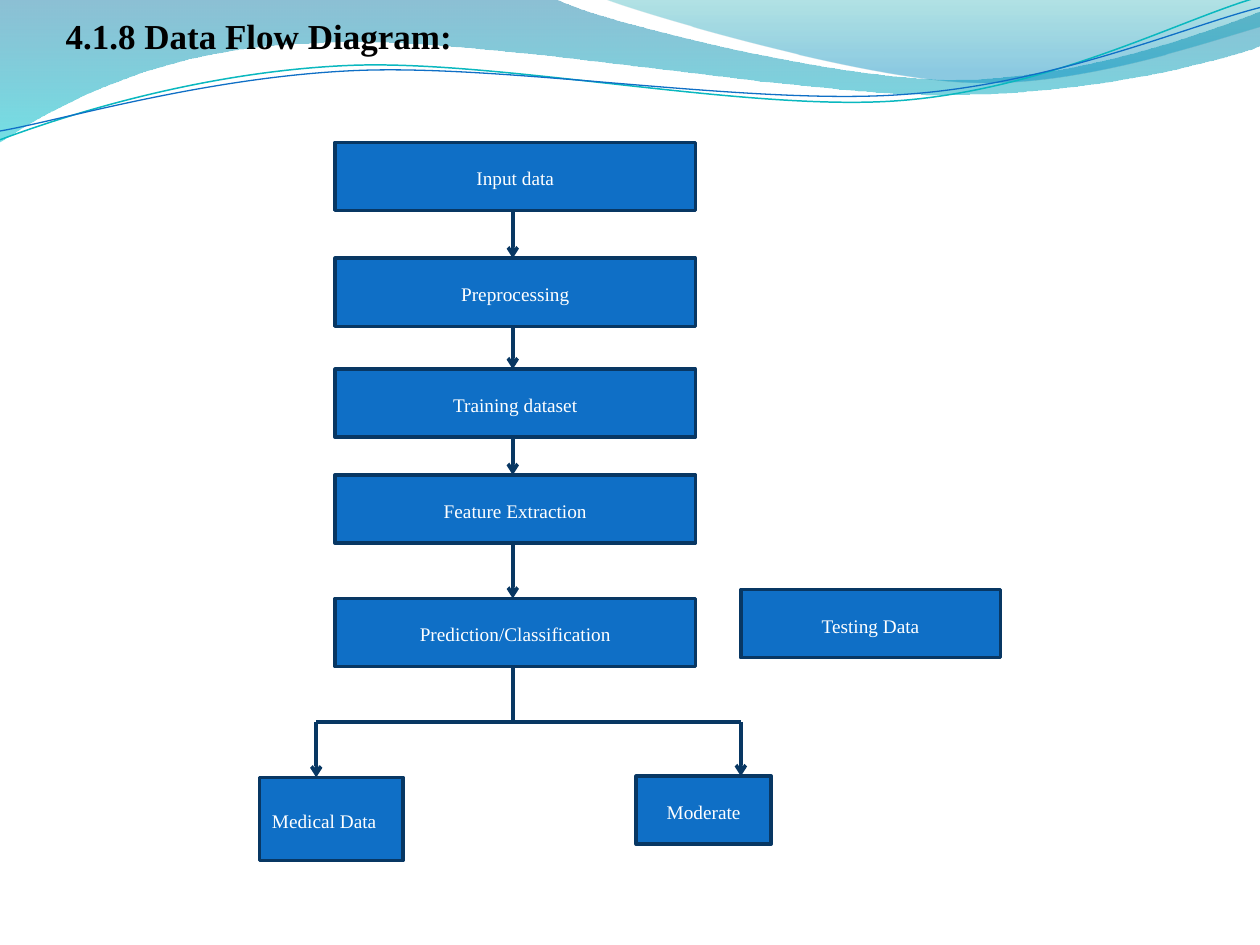
"""Build the data flow diagram slide with its wave header."""
from itertools import pairwise

from lxml.etree import SubElement
from pptx import Presentation
from pptx.dml.color import RGBColor
from pptx.enum.shapes import MSO_CONNECTOR, MSO_SHAPE
from pptx.enum.text import MSO_ANCHOR, MSO_AUTO_SIZE, PP_ALIGN
from pptx.oxml.ns import qn
from pptx.util import Inches, Pt

BLUE = RGBColor(0x0F, 0x6F, 0xC6)
NAVY = RGBColor(0x08, 0x37, 0x63)
TEAL = RGBColor(0x0A, 0xB8, 0xBF)
WHITE = RGBColor(0xFF, 0xFF, 0xFF)
BLACK = RGBColor(0, 0, 0)
FONT = "Times New Roman"

TITLE = "4.1.8 Data Flow Diagram:"
STEP_LEFT, STEP_WIDTH, BOX_HEIGHT = 2.66, 2.86, 0.54
STEPS = [
    ("Input data", 1.13),
    ("Preprocessing", 2.05),
    ("Training dataset", 2.93),
    ("Feature Extraction", 3.77),
    ("Prediction/Classification", 4.75),
]
SIDE_BOXES = [
    ("Testing Data", 5.88, 4.68, 2.06, BOX_HEIGHT, PP_ALIGN.CENTER),
    ("Medical Data", 2.06, 6.17, 1.14, 0.66, PP_ALIGN.LEFT),
    ("Moderate", 5.05, 6.16, 1.07, BOX_HEIGHT, PP_ALIGN.CENTER),
]
FLOW_X, FORK_Y = 4.07, 5.73
FORK_ENDS = [(2.51, 6.17), (5.88, 6.16)]

# Each segment is one point for a line or three points for a Bezier curve.
BANDS = [
    {
        "start": (0, 0),
        "segments": [
            [(4.4, -0.01)],
            [(4.76, 0.17), (6.64, 0.63), (7.58, 0.63)],
            [(8.53, 0.63), (9.58, 0.26), (10, 0.09)],
            [(10.01, 0.36)],
            [(9.83, 0.44), (8.7, 0.76), (7.46, 0.75)],
            [(6.22, 0.75), (3.82, 0.28), (2.57, 0.34)],
            [(1.29, 0.36), (0.46, 0.83), (-0.01, 1.13)],
        ],
        "stops": [(0, RGBColor(0, 0x74, 0xA1), 45), (1, RGBColor(0, 0xC6, 0xCF), 55)],
    },
    {
        "start": (4.79, -0.01),
        "segments": [
            [(5.09, 0.11), (6.82, 0.62), (7.69, 0.65)],
            [(8.56, 0.69), (9.61, 0.32), (10, 0.21)],
            [(10, 0)],
        ],
        "stops": [(0, RGBColor(0, 0xA1, 0xA9), 30), (0.8, RGBColor(0, 0x8B, 0xBF), 45)],
    },
]
WAVES = [
    {
        "start": (0, 1.11),
        "segments": [
            [(0.48, 0.93), (1.58, 0.57), (2.77, 0.52)],
            [(3.95, 0.47), (5.93, 0.89), (7.13, 0.8)],
            [(8.33, 0.71), (9.38, 0.15), (9.98, -0.02)],
        ],
        "line": (TEAL, 0.85),
    },
    {
        "start": (0, 1.04),
        "segments": [
            [(0.47, 0.96), (1.64, 0.61), (2.83, 0.56)],
            [(4.03, 0.51), (5.97, 0.84), (7.17, 0.75)],
            [(8.36, 0.67), (9.41, 0.21), (10, 0.06)],
        ],
        "line": (BLUE, 0.75),
    },
]


def add_outline(slide, start, segments, close):
    """Draw a freeform whose three-point segments become Bezier curves."""
    builder = slide.shapes.build_freeform(*map(Inches, start))
    points = [(Inches(x), Inches(y)) for segment in segments for x, y in segment]
    builder.add_line_segments(points, close=close)
    shape = builder.convert_to_shape()
    shape.shadow.inherit = False
    lines = iter(list(shape._element.iter(qn("a:lnTo"))))
    for segment in segments:
        first, *others = [next(lines) for _ in segment]
        if others:
            first.tag = qn("a:cubicBezTo")
            for other in others:
                first.append(other[0])
                other.getparent().remove(other)
    return shape


def add_band(slide, start, segments, stops):
    """Draw a translucent gradient band."""
    shape = add_outline(slide, start, segments, True)
    shape.line.fill.background()
    shape.fill.gradient()
    shape.fill.gradient_angle = 270
    for stop, (position, color, opacity) in zip(shape.fill.gradient_stops, stops):
        stop.position = position
        stop.color.rgb = color
    for element, (_, _, opacity) in zip(shape._element.iter(qn("a:gs")), stops):
        SubElement(element[0], qn("a:alpha"), val=str(opacity * 1000))


def add_wave(slide, start, segments, line):
    """Draw a thin open curve."""
    shape = add_outline(slide, start, segments, False)
    shape.fill.background()
    shape.line.color.rgb = line[0]
    shape.line.width = Pt(line[1])


def write(frame, text, size, color, align, spacing, bold=False):
    """Put one formatted paragraph in a text frame."""
    frame.text = text
    frame.word_wrap = True
    frame.vertical_anchor = MSO_ANCHOR.MIDDLE
    para = frame.paragraphs[0]
    para.alignment, para.line_spacing = align, spacing
    font = para.runs[0].font
    font.name, font.size, font.bold = FONT, Pt(size), bold
    font.color.rgb = color


def add_box(slide, text, left, top, width, height, align=PP_ALIGN.CENTER):
    """Draw a labelled box."""
    box = slide.shapes.add_shape(MSO_SHAPE.RECTANGLE, *map(Inches, (left, top, width, height)))
    box.shadow.inherit = False
    box.fill.solid()
    box.fill.fore_color.rgb = BLUE
    box.line.color.rgb = NAVY
    box.line.width = Pt(2)
    write(box.text_frame, text, 11, WHITE, align, 1.15)
    box.text_frame.paragraphs[0].space_after = Pt(10)


def add_link(slide, x1, y1, x2, y2, arrow=True):
    """Draw a straight line, with an arrowhead unless told otherwise."""
    link = slide.shapes.add_connector(MSO_CONNECTOR.STRAIGHT, *map(Inches, (x1, y1, x2, y2)))
    link.line.color.rgb = NAVY
    link.line.width = Pt(2)
    if arrow:
        SubElement(link.line._get_or_add_ln(), qn("a:tailEnd"), type="arrow")
    SubElement(link._element.spPr, qn("a:effectLst"))


deck = Presentation()
deck.slide_width, deck.slide_height = Inches(10), Inches(7.5)
page = deck.slides.add_slide(deck.slide_layouts[5])

for band in BANDS:
    add_band(page, **band)
for wave in WAVES:
    add_wave(page, **wave)

title = page.shapes.title
title.left, title.top, title.width, title.height = map(Inches, (0.42, -0.08, 8.25, 0.55))
write(title.text_frame, TITLE, 20, BLACK, PP_ALIGN.JUSTIFY, 1.5, bold=True)
title.text_frame.auto_size = MSO_AUTO_SIZE.NONE
page.shapes._spTree.append(title._element)

for label, step_top in STEPS:
    add_box(page, label, STEP_LEFT, step_top, STEP_WIDTH, BOX_HEIGHT)
for side_box in SIDE_BOXES:
    add_box(page, *side_box)

for (_, upper), (_, lower) in pairwise(STEPS):
    add_link(page, FLOW_X, upper + BOX_HEIGHT, FLOW_X, lower)
add_link(page, FLOW_X, STEPS[-1][1] + BOX_HEIGHT, FLOW_X, FORK_Y, arrow=False)
add_link(page, FORK_ENDS[0][0], FORK_Y, FORK_ENDS[1][0], FORK_Y, arrow=False)
for end_x, end_y in FORK_ENDS:
    add_link(page, end_x, FORK_Y, end_x, end_y)

deck.save("out.pptx")
